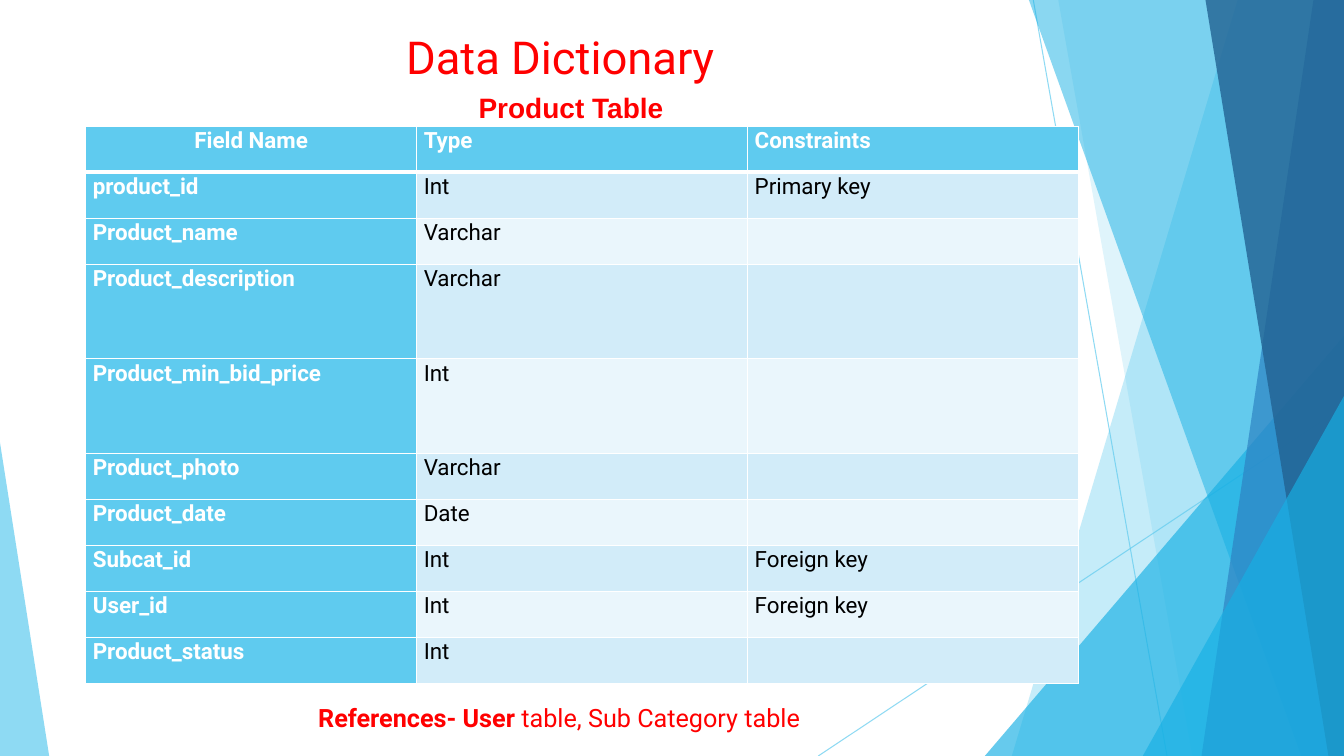
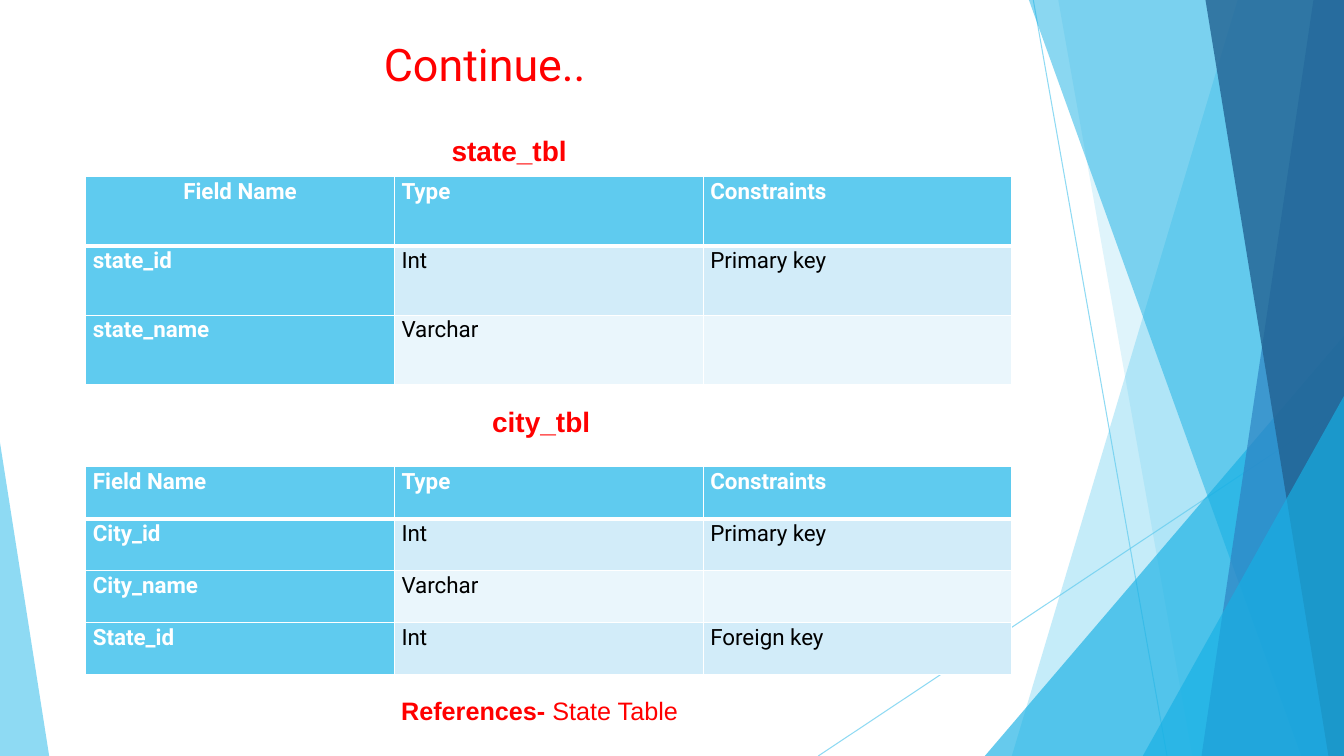
from lxml import etree
from pptx import Presentation
from pptx import util as u
from pptx.dml.color import RGBColor
from pptx.enum import shapes, text
from pptx.oxml.ns import qn

WIDTH, HEIGHT = 33.87, 19.05
SKY, CYAN, BLUE, NAVY = "5FCBEF", "17B0E4", "2E83C3", "226292"
RED, WHITE, BLACK = "FF0000", "FFFFFF", "000000"
BAND_FILLS = ["D2ECF9", "EAF6FC"]
CENTER, LEFT = text.PP_ALIGN.CENTER, text.PP_ALIGN.LEFT

DECOR = [
    ("line", (26.04, 0, 29.41, HEIGHT), SKY, 70),
    ("line", (WIDTH, 10.24, 20.62, HEIGHT), SKY, 70),
    ("band", (31.19, 25.5), SKY, 36),
    ("band", (26.67, 30.05), SKY, 20),
    ("triangle", (24.82, 8.46, 9.05, 1), CYAN, 66),
    ("band", (25.93, 32.79), CYAN, 50),
    ("band", (33.1, 30.28), BLUE, 70),
    ("band", (30.38, 33.48), NAVY, 80),
    ("triangle", (28.8, 9.98, 5.07, 1), CYAN, 66),
    ("triangle", (0, 11.15, 1.24, 0), SKY, 70),
]

HEADER = ("Field Name", "Type", "Constraints")
SLIDES = [
    {
        "title": ("Data Dictionary", 32.4, (9.98, 0.6, 10.01, 2.06)),
        "captions": [("Product Table", (11, 2.03, 6.78, 1.17), CENTER, 1.15)],
        "tables": [{
            "place": (2.16, 3.18), "column": 8.34, "header_align": CENTER,
            "heights": [1.16] * 3 + [2.38] * 2 + [1.16] * 5,
            "rows": [
                ("product_id", "Int", "Primary key"),
                ("Product_name", "Varchar", ""),
                ("Product_description", "Varchar", ""),
                ("Product_min_bid_price", "Int", ""),
                ("Product_photo", "Varchar", ""),
                ("Product_date", "Date", ""),
                ("Subcat_id", "Int", "Foreign key"),
                ("User_id", "Int", "Foreign key"),
                ("Product_status", "Int", ""),
            ],
        }],
        "references": ("References- User ", "table, Sub Category table",
                       "Roboto", (7.77, 17.58, 13.6, 1.02)),
    },
    {
        "title": ("Continue..", 32, (9.42, 0.79, 8.84, 1.63)),
        "captions": [
            ("state_tbl", (11.13, 3.25, 5, 1.12), LEFT, 1),
            ("city_tbl", (10.72, 9.93, 5.84, 1.17), CENTER, 1.15),
        ],
        "tables": [
            {
                "place": (2.16, 4.45), "column": 7.78, "header_align": CENTER,
                "heights": [1.75] * 3,
                "rows": [
                    ("state_id", "Int", "Primary key"),
                    ("state_name", "Varchar", ""),
                ],
            },
            {
                "place": (2.16, 11.76), "column": 7.78, "header_align": LEFT,
                "heights": [1.31] * 4,
                "rows": [
                    ("City_id", "Int", "Primary key"),
                    ("City_name", "Varchar", ""),
                    ("State_id", "Int", "Foreign key"),
                ],
            },
        ],
        "references": ("References- ", "State Table",
                       "Arial", (9.86, 17.4, 8.4, 1.02)),
    },
]


def cm(*lengths):
    return [u.Cm(length) for length in lengths]


def paint(color_format, color):
    color_format.rgb = RGBColor.from_string(color)


def fade(shape, alpha):
    color = next(shape.element.spPr.iter(qn("a:srgbClr")))
    etree.SubElement(color, qn("a:alpha"), val=str(alpha * 1000))


def write(frame, words, size=16, font="Roboto", color=RED, bold=False,
          align=LEFT, spacing=1):
    para = frame.paragraphs[0]
    para.alignment = align
    para.line_spacing = spacing
    span = para.add_run()
    span.text = words
    span.font.size = u.Pt(size)
    span.font.name = font
    span.font.bold = bold
    paint(span.font.color, color)


def add_box(page, place):
    frame = page.shapes.add_textbox(*cm(*place)).text_frame
    frame.word_wrap = True
    return frame


def add_decor(group, kind, geometry, color, alpha):
    if kind == "line":
        line = group.shapes.add_connector(shapes.MSO_CONNECTOR.STRAIGHT, *cm(*geometry))
        line.line.width = u.Pt(0.75)
        paint(line.line.color, color)
        fade(line, alpha)
        etree.SubElement(line.element.spPr, qn("a:effectLst"))
        return
    if kind == "band":
        top, bottom = geometry
        builder = group.shapes.build_freeform(*cm(top, 0), scale=1.0)
        corners = [(WIDTH, 0), (WIDTH, HEIGHT), (bottom, HEIGHT)]
        builder.add_line_segments([cm(*corner) for corner in corners], close=True)
        shape = builder.convert_to_shape()
    else:
        left, top, width, apex = geometry
        shape = group.shapes.add_shape(shapes.MSO_SHAPE.ISOSCELES_TRIANGLE,
                                       *cm(left, top, width, HEIGHT - top))
        shape.adjustments[0] = apex
    shape.shadow.inherit = False
    shape.line.fill.background()
    shape.fill.solid()
    paint(shape.fill.fore_color, color)
    fade(shape, alpha)


def decorate_layout(page):
    group = page.shapes.add_group_shape()
    for item in DECOR:
        add_decor(group, *item)
    for number, tag in enumerate(group.element.iter(qn("p:cNvPr")), 20):
        tag.set("id", str(number))
    page.slide_layout.shapes.element.insert(2, group.element)


def add_borders(cell, row):
    widths = {"L": 1, "R": 1, "T": 3 if row == 1 else 1, "B": 3 if row == 0 else 1}
    for side, width in widths.items():
        line = etree.SubElement(cell._tc.get_or_add_tcPr(), qn("a:ln" + side),
                                w=str(u.Pt(width)))
        fill = etree.SubElement(line, qn("a:solidFill"))
        etree.SubElement(fill, qn("a:srgbClr"), val=WHITE)


def add_field_table(page, place, column, header_align, heights, rows):
    rows = [HEADER] + rows
    size = (column * len(HEADER), sum(heights))
    table = page.shapes.add_table(len(rows), len(HEADER), *cm(*place, *size)).table
    for part in table.columns:
        part.width = u.Cm(column)
    for r, (height, values) in enumerate(zip(heights, rows)):
        table.rows[r].height = u.Cm(height)
        for c, value in enumerate(values):
            cell = table.cell(r, c)
            heading = r == 0 or c == 0
            add_borders(cell, r)
            cell.fill.solid()
            paint(cell.fill.fore_color, SKY if heading else BAND_FILLS[(r - 1) % 2])
            cell.margin_left = cell.margin_right = u.Cm(0.18)
            cell.margin_top = cell.margin_bottom = 0
            if value:
                write(cell.text_frame, value, color=WHITE if heading else BLACK,
                      bold=heading, spacing=1.07,
                      align=header_align if r == c == 0 else LEFT)


def add_title(page, words, size, place):
    title = page.shapes.title
    title.left, title.top, title.width, title.height = cm(*place)
    title.text_frame.vertical_anchor = text.MSO_ANCHOR.TOP
    write(title.text_frame, words, size=size)


def main():
    deck = Presentation()
    deck.slide_width, deck.slide_height = cm(WIDTH, HEIGHT)
    layout = deck.slide_layouts[5]
    for index, content in enumerate(SLIDES):
        page = deck.slides.add_slide(layout)
        if index == 0:
            decorate_layout(page)
        add_title(page, *content["title"])
        for words, place, align, spacing in content["captions"]:
            write(add_box(page, place), words, size=20, font="Arial", bold=True,
                  align=align, spacing=spacing)
        for table in content["tables"]:
            add_field_table(page, **table)
        label, names, font, place = content["references"]
        frame = add_box(page, place)
        write(frame, label, size=18, font=font, bold=True)
        write(frame, names, size=18, font=font)
    deck.save("out.pptx")


if __name__ == "__main__":
    main()
